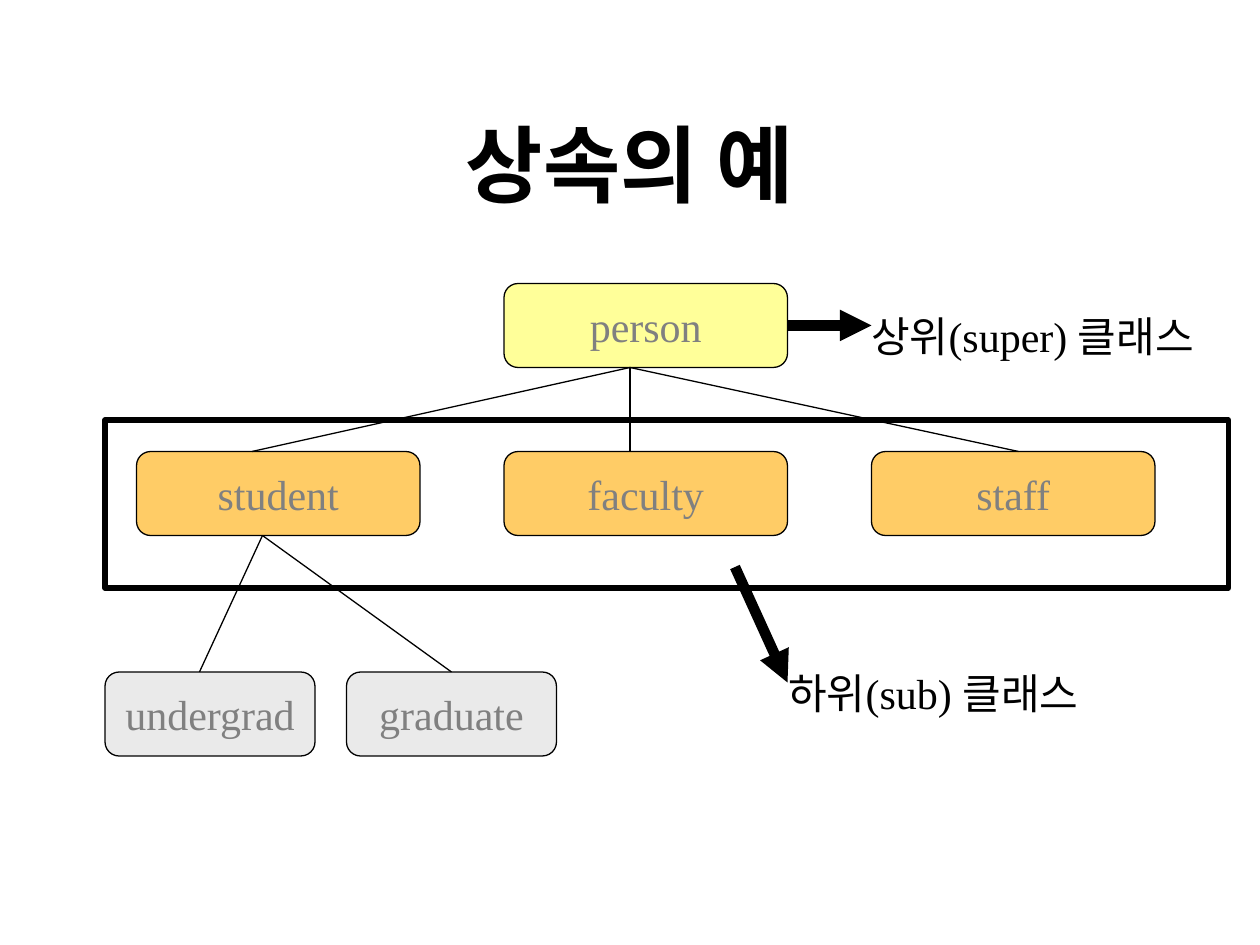
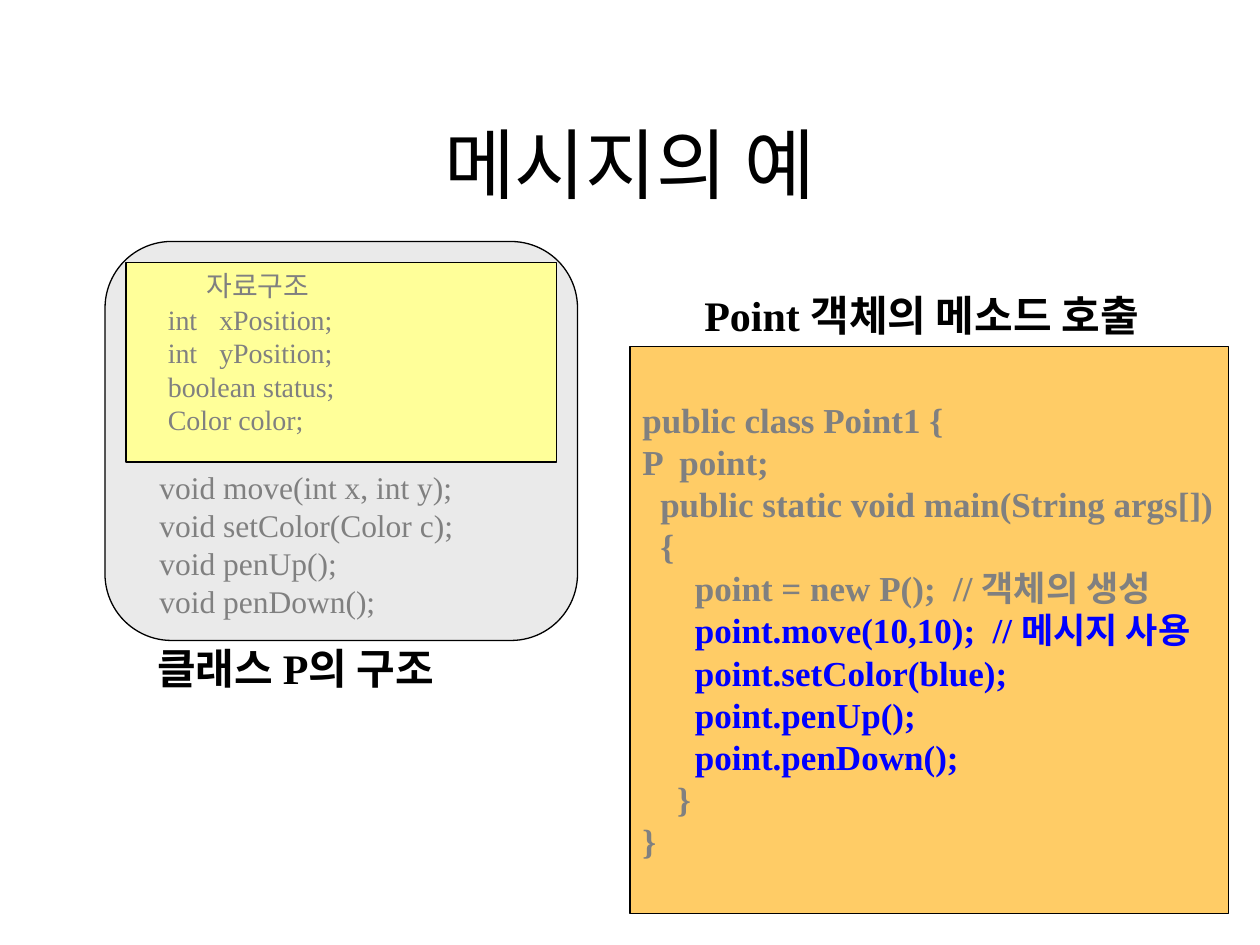
"""Build two slides on class inheritance and message passing."""
from dataclasses import dataclass
from typing import NamedTuple, Optional

from lxml import etree
from pptx import Presentation
from pptx import util as u
from pptx.dml import color as dml
from pptx.enum import shapes, text
from pptx.oxml import ns

SCALE = 7620
LATIN = "Times New Roman"
HANGUL = "Noto Sans CJK KR"
ROUND = shapes.MSO_SHAPE.ROUNDED_RECTANGLE
RECT = shapes.MSO_SHAPE.RECTANGLE
LEFT, MID = text.PP_ALIGN.LEFT, text.PP_ALIGN.CENTER
HUES = {
    "white": "FFFFFF",
    "black": "000000",
    "gray": "808080",
    "pale": "EAEAEA",
    "yellow": "FFFF99",
    "orange": "FFCC66",
    "blue": "0000FF",
}


class Line(NamedTuple):
    """One line of text with its indent, tab stop and own colour."""
    words: str
    pad: int = 0
    tab: int = 0
    hue: str = ""


@dataclass(frozen=True)
class Font:
    """The look of a text."""
    size: int = 24
    hue: str = "black"
    bold: bool = False
    align: int = LEFT
    latin: str = LATIN


@dataclass(frozen=True)
class Box:
    """A preset shape, or a plain text box when it has no kind."""
    x: int
    y: int
    w: int
    h: int
    lines: tuple[Line, ...] = ()
    font: Font = Font()
    kind: Optional[int] = None
    fill: str = ""
    edge: float = 0.75


@dataclass(frozen=True)
class Link:
    """A straight line, joined to box sides where it meets their middle."""
    start: tuple[int, int]
    end: tuple[int, int]
    arrow: bool = False
    tail: str = ""
    head: str = ""


CLASS = Font(hue="gray", align=MID)
LABEL = Font()
BOLD = Font(bold=True)
FIELD = Font(size=16, hue="gray")
METHOD = Font(size=18, hue="gray")
CODE = Font(size=20, hue="gray", bold=True)


def px(val: int) -> u.Emu:
    """Turn px into EMU."""
    return u.Emu(val * SCALE)


def rgb(hue: str) -> dml.RGBColor:
    """Look up a colour."""
    return dml.RGBColor.from_string(HUES[hue])


def style(frame, lines: tuple[Line, ...], font: Font) -> None:
    """Fill a text frame and format its paragraphs and runs."""
    frame.text = "\n".join(line.words for line in lines)
    for para, line in zip(frame.paragraphs, lines):
        para.alignment = font.align
        props = para._p.get_or_add_pPr()
        if line.pad:
            props.set("marL", str(px(line.pad)))
            props.set("indent", "0")
        if line.tab:
            stops = etree.SubElement(props, ns.qn("a:tabLst"))
            etree.SubElement(stops, ns.qn("a:tab"), pos=str(px(line.tab)), algn="l")
        for run in para.runs:
            run.font.size = u.Pt(font.size)
            run.font.bold = font.bold
            run.font.name = font.latin
            run.font.color.rgb = rgb(line.hue or font.hue)
            east = etree.Element(ns.qn("a:ea"), typeface=HANGUL)
            run.font._element.find(ns.qn("a:latin")).addnext(east)


def start(deck, words: str, font: Font):
    """Add a title-only slide and set its title."""
    slide = deck.slides.add_slide(deck.slide_layouts[5])
    back = slide.background.fill
    back.solid()
    back.fore_color.rgb = rgb("white")
    title = slide.shapes.title
    title.left, title.top, title.width, title.height = map(px, (90, 80, 1020, 150))
    frame = title.text_frame
    frame.auto_size = text.MSO_AUTO_SIZE.NONE
    frame.vertical_anchor = text.MSO_ANCHOR.MIDDLE
    style(frame, (Line(words),), font)
    return slide


def draw(slide, box: Box):
    """Draw a box with its text."""
    area = [px(val) for val in (box.x, box.y, box.w, box.h)]
    if box.kind is None:
        shape = slide.shapes.add_textbox(*area)
    else:
        shape = slide.shapes.add_shape(box.kind, *area)
        shape.shadow.inherit = False
        shape.line.color.rgb = rgb("black")
        shape.line.width = u.Pt(box.edge)
        if box.fill:
            shape.fill.solid()
            shape.fill.fore_color.rgb = rgb(box.fill)
        else:
            shape.fill.background()
        shape.text_frame.vertical_anchor = text.MSO_ANCHOR.MIDDLE
    if box.lines:
        shape.text_frame.word_wrap = False
        style(shape.text_frame, box.lines, box.font)
    return shape


def join(slide, link: Link, nodes: dict) -> None:
    """Draw a line or arrow between two points."""
    ends = [px(val) for val in (*link.start, *link.end)]
    wire = slide.shapes.add_connector(shapes.MSO_CONNECTOR.STRAIGHT, *ends)
    if link.tail:
        wire.begin_connect(nodes[link.tail], 3)
    if link.head:
        wire.end_connect(nodes[link.head], 0)
    wire.line.color.rgb = rgb("black")
    wire.line.width = u.Pt(6 if link.arrow else 0.75)
    if link.arrow:
        etree.SubElement(wire.line._get_or_add_ln(), ns.qn("a:tailEnd"), type="triangle")
    etree.SubElement(wire._element.spPr, ns.qn("a:effectLst"))


def node(name: str, x: int, y: int, w: int, fill: str) -> Box:
    """Describe one class in the tree."""
    return Box(x, y, w, 80, (Line(name),), CLASS, ROUND, fill)


def tree(deck) -> None:
    """Build the slide with the class tree."""
    slide = start(deck, "상속의 예", Font(48, bold=True, align=MID, latin=HANGUL))
    draw(slide, Box(100, 400, 1070, 160, kind=RECT, edge=3))
    rows = [("person", 480, 270, 270, "yellow")]
    subs = ("student", "faculty", "staff")
    rows += [(name, 130 + 350 * i, 430, 270, "orange") for i, name in enumerate(subs)]
    leaves = ("undergrad", "graduate")
    rows += [(name, 100 + 230 * i, 640, 200, "pale") for i, name in enumerate(leaves)]
    nodes = {row[0]: draw(slide, node(*row)) for row in rows}
    links = [Link((600, 350), (x, 430)) for x in (240, 600, 970)]
    links += [
        Link((250, 510), (190, 640)),
        Link((250, 510), (430, 640), head="graduate"),
        Link((750, 310), (830, 310), arrow=True, tail="person"),
        Link((700, 540), (750, 650), arrow=True),
    ]
    for link in links:
        join(slide, link, nodes)
    draw(slide, Box(818, 290, 350, 60, (Line("상위(super) 클래스"),), LABEL))
    draw(slide, Box(739, 630, 319, 60, (Line("하위(sub) 클래스"),), LABEL))


def calls(deck) -> None:
    """Build the slide with the class layout and the code that calls it."""
    slide = start(deck, "메시지의 예", Font(44, align=MID, latin=HANGUL))
    fields = (
        Line("자료구조", pad=37),
        Line("int\txPosition;", tab=49),
        Line("int\tyPosition;", tab=49),
        Line("boolean status;"),
        Line("Color color;"),
    )
    heads = ("move(int x, int y)", "setColor(Color c)", "penUp()", "penDown()")
    methods = tuple(Line(f"void {head};") for head in heads)
    sends = ("move(10,10);  // 메시지 사용", "setColor(blue);", "penUp();", "penDown();")
    code = (
        Line("public class Point1 {"),
        Line("P  point;"),
        Line("public static void main(String args[])", pad=17),
        Line("{", pad=17),
        Line("point = new P();  // 객체의 생성", pad=50),
        *(Line(f"point.{send}", pad=50, hue="blue") for send in sends),
        Line("}", pad=33),
        Line("}"),
    )
    boxes = (
        Box(100, 230, 450, 380, kind=ROUND, fill="pale"),
        Box(120, 250, 410, 190, kind=RECT, fill="yellow"),
        Box(148, 250, 188, 173, fields, FIELD),
        Box(140, 440, 304, 156, methods, METHOD),
        Box(600, 330, 570, 540, code, CODE, RECT, "orange"),
        Box(659, 270, 469, 60, (Line("Point 객체의 메소드 호출"),), BOLD),
        Box(138, 606, 328, 60, (Line("클래스 P의 구조"),), BOLD),
    )
    for box in boxes:
        draw(slide, box)


def main() -> None:
    """Build and save the deck."""
    deck = Presentation()
    deck.slide_width, deck.slide_height = px(1200), px(900)
    tree(deck)
    calls(deck)
    deck.save("out.pptx")


if __name__ == "__main__":
    main()
